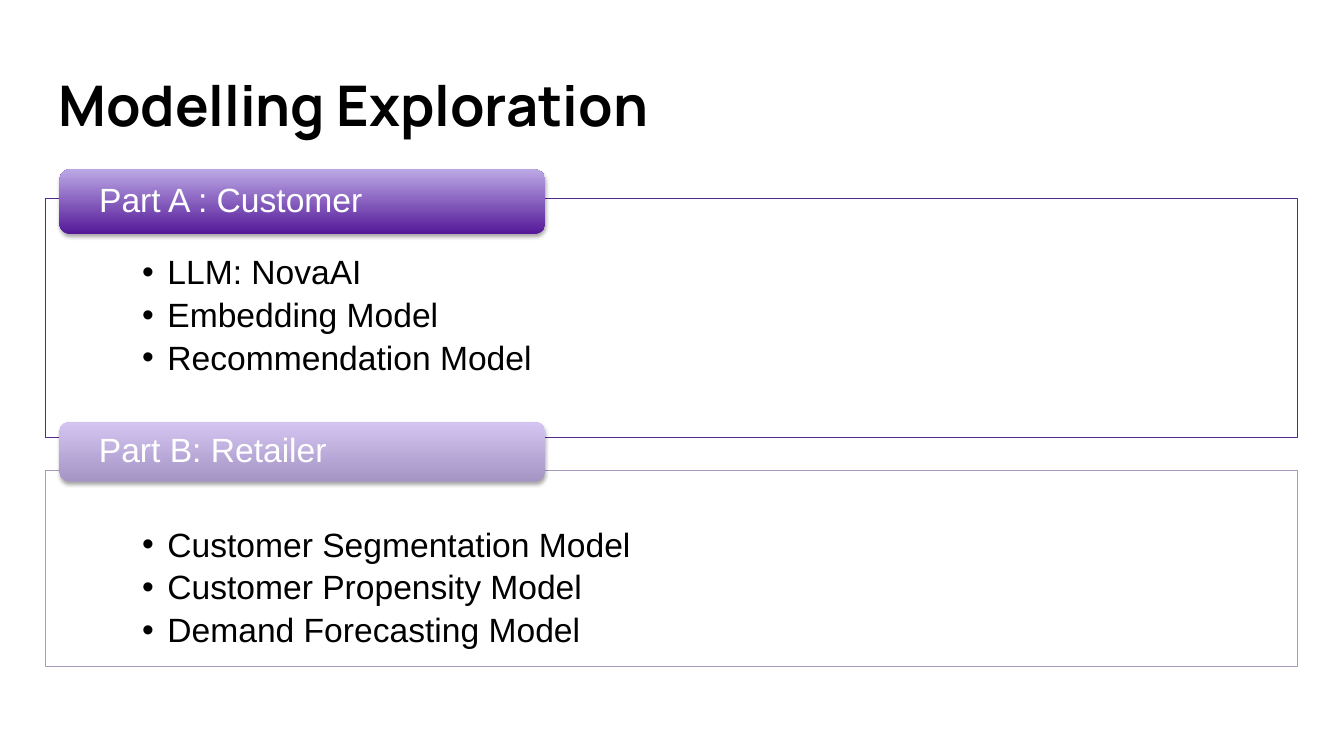
from lxml.etree import SubElement
from pptx import Presentation
from pptx.dml.color import RGBColor
from pptx.enum.shapes import MSO_SHAPE
from pptx.enum.text import MSO_ANCHOR, PP_ALIGN
from pptx.oxml.ns import qn
from pptx.util import Cm, Pt

# Content: vertical places and sizes in cm
TITLE = "Modelling Exploration"
PARTS = [
    {"name": "Part A : Customer",
     "models": ["LLM: NovaAI", "Embedding Model", "Recommendation Model"],
     "panel": (5.0, 6.02), "tag": (4.27, 1.63),
     "line": "violet", "grad": ("deep", "lilac")},
    {"name": "Part B: Retailer",
     "models": ["Customer Segmentation Model", "Customer Propensity Model",
                "Demand Forecasting Model"],
     "panel": (11.86, 4.93), "tag": (10.64, 1.5),
     "line": "mauve", "grad": ("dusk", "pale")},
]
COLORS = {"black": "000000", "white": "FFFFFF", "violet": "552789",
          "mauve": "A79ABE", "deep": "541898", "lilac": "BBA8E5",
          "dusk": "A595C4", "pale": "D3C4F2"}
LEFT, WIDTH = 1.14, 31.55
TAG_LEFT, TAG_WIDTH = 1.5, 12.24


def rgb(name):
    return RGBColor.from_string(COLORS[name])


def write(sp, lines, insets, anchor, size, color, font="Arial", bold=False, after=0):
    tf = sp.text_frame
    tf.word_wrap = True
    tf.vertical_anchor = anchor
    tf.margin_left, tf.margin_top, tf.margin_right, tf.margin_bottom = map(Cm, insets)
    tf.text = "\n".join(lines)
    for p in tf.paragraphs:
        p.alignment = PP_ALIGN.LEFT
        p.line_spacing = 0.9
        p.space_after = Pt(after)
        f = p.runs[0].font
        f.name, f.size, f.bold = font, Pt(size), bold
        f.color.rgb = rgb(color)


def add_bullets(tf):
    for p in tf.paragraphs:
        p.level = 1
        pPr = p._p.get_or_add_pPr()
        pPr.set("marL", str(Cm(0.64)))
        pPr.set("indent", str(-Cm(0.64)))
        clr = SubElement(pPr, qn("a:buClr"))
        SubElement(clr, qn("a:srgbClr"), val=COLORS["black"])
        SubElement(pPr, qn("a:buFont"), typeface="Arial")
        SubElement(pPr, qn("a:buChar"), char="•")


def add_shadow(sp):
    effects = sp._element.spPr.find(qn("a:effectLst"))
    shadow = SubElement(effects, qn("a:outerShdw"), blurRad=str(Pt(3.1)),
                        dist=str(Pt(1.8)), dir="5400000", rotWithShape="0")
    clr = SubElement(shadow, qn("a:srgbClr"), val=COLORS["black"])
    SubElement(clr, qn("a:alpha"), val="35000")


def add_box(shapes, kind, left, top, width, height):
    sp = shapes.add_shape(kind, Cm(left), Cm(top), Cm(width), Cm(height))
    sp.shadow.inherit = False
    return sp


prs = Presentation()
prs.slide_width, prs.slide_height = Cm(33.87), Cm(19.05)
s = prs.slides.add_slide(prs.slide_layouts[6])

# Title
title = s.shapes.add_textbox(Cm(LEFT), Cm(1.65), Cm(WIDTH), Cm(2.31))
write(title, [TITLE], [0.33] * 4, MSO_ANCHOR.TOP, 40, "black", "Manrope", True)

for part in PARTS:
    # Panel with the list of models
    top, height = part["panel"]
    panel = add_box(s.shapes, MSO_SHAPE.RECTANGLE, LEFT, top, WIDTH, height)
    panel.fill.solid()
    panel.fill.fore_color.rgb = rgb("white")
    panel.line.color.rgb = rgb(part["line"])
    panel.line.width = Pt(0.75)
    write(panel, part["models"], (2.44, 1.45, 2.44, 0.48), MSO_ANCHOR.TOP,
          24, "black", after=4.5)
    add_bullets(panel.text_frame)

    # Tag over the panel's top edge
    top, height = part["tag"]
    tag = add_box(s.shapes, MSO_SHAPE.ROUNDED_RECTANGLE, TAG_LEFT, top, TAG_WIDTH, height)
    tag.fill.gradient()
    tag.fill.gradient_angle = 90
    for stop, name in zip(tag.fill.gradient_stops, part["grad"]):
        stop.color.rgb = rgb(name)
    tag.line.fill.background()
    add_shadow(tag)
    write(tag, [part["name"]], (0.92, 0, 0.92, 0), MSO_ANCHOR.MIDDLE, 24, "white")

prs.save("out.pptx")
